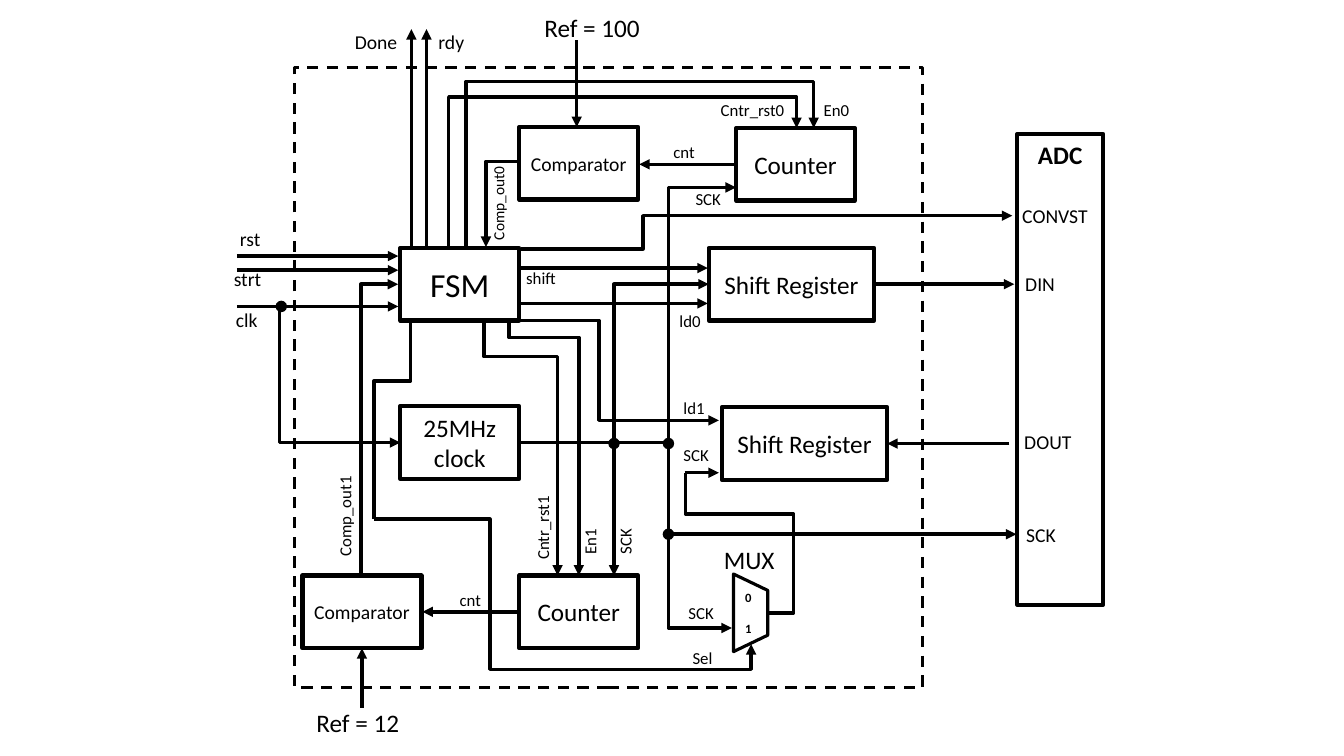
from lxml import etree
from pptx import Presentation
from pptx import util as u
from pptx.dml.color import RGBColor
from pptx.enum import dml, shapes, text
from pptx.oxml import ns

INK = "000000"
FONT = "Calibri"
BLOCK = (1.18, 0.72)
WIDE_BLOCK = (1.64, 0.72)
LABEL_WIDTH = 1.18
DOT = 0.1
RECT = shapes.MSO_SHAPE.RECTANGLE


def length(inches):
    """Turn a distance on the inch grid into a Cm length."""
    return u.Cm(inches * 2.54)


def colour(value):
    """Turn a hex string into a colour."""
    return RGBColor.from_string(value)


def apply(target, values):
    """Set each named attribute on the target."""
    for name, value in values.items():
        setattr(target, name, value)


def write(frame, lines, size, bold=False, gap=0, **layout):
    """Fill a text frame with one paragraph per line."""
    apply(frame, {"word_wrap": True, **layout})
    for index, line in enumerate(lines):
        para = frame.add_paragraph() if index else frame.paragraphs[0]
        if layout.get("vertical_anchor") is not None:
            para.alignment = text.PP_ALIGN.CENTER
        para.space_before = u.Pt(gap if index else 0)
        span = para.add_run()
        span.text = line
        apply(span.font, {"name": FONT, "size": u.Pt(size), "bold": bold})
        span.font.color.rgb = colour(INK)


def outline(page, kind, box, weight, fill=None):
    """Add an outlined preset shape, filled only if a colour is given."""
    shape = page.shapes.add_shape(kind, *map(length, box))
    shape.shadow.inherit = False
    shape.line.color.rgb = colour(INK)
    shape.line.width = u.Pt(weight)
    if fill:
        shape.fill.solid()
        shape.fill.fore_color.rgb = colour(fill)
    else:
        shape.fill.background()
    return shape


def block(page, box, words, x, y, extent=BLOCK, size=18):
    """Add a named circuit block."""
    shape = outline(page, RECT, (box[0] + x, box[1] + y, *extent), 3)
    write(shape.text_frame, [words], size, margin_left=0, margin_right=0,
          vertical_anchor=text.MSO_ANCHOR.MIDDLE)


def label(page, box, words, x, y, size=12, upright=False):
    """Add a signal name at its top left, or at its bottom left if upright."""
    height = size * 1.22 / 72 + 0.1
    left, top = box[0] + x, box[1] + y
    if upright:
        left += (height - LABEL_WIDTH) / 2
        top -= (height + LABEL_WIDTH) / 2
    shape = page.shapes.add_textbox(*map(length, (left, top, LABEL_WIDTH, height)))
    shape.rotation = 270 if upright else 0
    write(shape.text_frame, [words], size, auto_size=text.MSO_AUTO_SIZE.SHAPE_TO_FIT_TEXT)


def dot(page, box, x, y):
    """Add a junction dot centred on a point."""
    corner = (box[0] + x - DOT / 2, box[1] + y - DOT / 2)
    outline(page, shapes.MSO_SHAPE.OVAL, (*corner, DOT, DOT), 1, INK)


def bend(link, points):
    """Shape an elbow connector so that it runs through right-angled points."""
    (x1, y1), (x2, y2) = points[0], points[-1]
    dx, dy = x2 - x1, y2 - y1
    upright = points[0][0] == points[1][0]
    along, across = (abs(dy), abs(dx)) if upright else (abs(dx), abs(dy))
    flip_h, flip_v, turn = dx < 0, dy < 0, 0
    if upright:
        flip_h, flip_v, turn = dy < 0, dx > 0, 90
        if flip_v and not flip_h:
            flip_h, flip_v, turn = True, False, 270
    apply(link, {"left": length((x1 + x2 - along) / 2),
                 "top": length((y1 + y2 - across) / 2),
                 "width": length(along), "height": length(across)})
    frame = link._element.spPr.find(ns.qn("a:xfrm"))
    for name, value in {"rot": turn * 60000, "flipH": int(flip_h),
                        "flipV": int(flip_v)}.items():
        frame.set(name, str(value))
    geometry = link._element.spPr.find(ns.qn("a:prstGeom"))
    geometry.set("prst", f"bentConnector{len(points) - 1}")
    guides = geometry.find(ns.qn("a:avLst"))
    for index, (x, y) in enumerate(points[1:-2], 1):
        vertical = upright == (index % 2 == 1)
        ratio = (y - y1) / dy if vertical else (x - x1) / dx
        etree.SubElement(guides, ns.qn("a:gd"), name=f"adj{index}",
                         fmla=f"val {round(ratio * 100000)}")


def wire(page, box, *points, arrow=True):
    """Add a straight or bent wire, by default with an arrowhead at its end."""
    points = [(box[0] + x, box[1] + y) for x, y in points]
    kind = shapes.MSO_CONNECTOR.STRAIGHT if len(points) == 2 else shapes.MSO_CONNECTOR.ELBOW
    link = page.shapes.add_connector(kind, *map(length, points[0] + points[-1]))
    link.line.color.rgb = colour(INK)
    link.line.width = u.Pt(2.5)
    if len(points) > 2:
        bend(link, points)
    if arrow:
        etree.SubElement(link.line._get_or_add_ln(), ns.qn("a:tailEnd"), type="triangle")
    etree.SubElement(link._element.spPr, ns.qn("a:effectLst"))


def draw(page, box, blocks=(), wires=(), labels=(), dots=()):
    """Place the parts of one region relative to its box."""
    for add, rows in ((block, blocks), (wire, wires), (label, labels), (dot, dots)):
        for row in rows:
            add(page, box, *row)


def chip_frame(page, box):
    """Draw the dashed border of the chip."""
    outline(page, RECT, box, 2).line.dash_style = dml.MSO_LINE.DASH


def sample_timer(page, box):
    """Draw the upper counter and comparator with their signals."""
    draw(page, box,
         blocks=[("Counter", 5.3, 1.27), ("Comparator", 3.15, 1.26, BLOCK, 14)],
         wires=[((5.3, 1.63), (4.34, 1.63)), ((3.72, 0.4), (3.72, 1.26)),
                ((3.15, 1.6), (2.82, 1.6), (2.82, 2.45)),
                ((4.63, 4.65), (4.63, 1.86), (5.3, 1.86))]
         + [((x, 2.46), (x, 0.29)) for x in (2.08, 2.23)]
         + [((x, 2.46), (x, y), (x + 3.45, y), (x + 3.45, 1.27))
            for x, y in ((2.45, 0.96), (2.62, 0.81))],
         labels=[("Ref = 100", 3.3, 0.07, 18), ("Done", 1.42, 0.25, 14),
                 ("rdy", 2.25, 0.25, 14), ("cnt", 4.58, 1.36),
                 ("Cntr_rst0", 5.05, 0.94), ("En0", 6.07, 0.94),
                 ("SCK", 4.8, 1.82), ("Comp_out0", 2.8, 2.48, 11, True)])


def control(page, box):
    """Draw the state machine, clock and shift registers with their signals."""
    draw(page, box,
         blocks=[("FSM", 1.97, 0.46, BLOCK, 24), ("25MHz clock", 1.97, 2.03),
                 ("Shift Register", 5.03, 0.46, WIDE_BLOCK),
                 ("Shift Register", 5.16, 2.04, WIDE_BLOCK)],
         wires=[((0.35, y), (1.95, y)) for y in (0.54, 0.68, 1.04)]
         + [((3.15, y), (5.02, y)) for y in (0.66, 1.01)]
         + [((6.69, 0.82), (8.06, 0.82)), ((8.01, 2.4), (6.8, 2.4)),
            ((4.09, 2.39), (4.09, 0.82), (5.03, 0.82)),
            ((2.97, 1.18), (3.94, 1.18), (3.94, 2.17), (5.13, 2.17)),
            ((3.17, 0.47), (4.38, 0.47), (4.38, 0.14), (8.04, 0.14)),
            ((0.58, 1.04), (0.77, 1.04), (0.77, 2.39), (1.97, 2.39)),
            ((4.63, 2.39), (4.63, 3.3), (8.08, 3.3))],
         labels=[("rst", 0.28, 0.2, 14), ("strt", 0.22, 0.6, 14),
                 ("clk", 0.24, 1.01, 14), ("shift", 3.12, 0.61),
                 ("ld0", 4.64, 1.03), ("ld1", 4.68, 1.9), ("SCK", 4.68, 2.36)],
         dots=[(0.79, 1.04), (4.09, 2.4), (4.63, 2.4), (4.63, 3.3)])
    wire(page, box, (3.15, 2.39), (4.66, 2.39), arrow=False)


def bit_timer(page, box):
    """Draw the lower counter and comparator with their signals."""
    draw(page, box,
         blocks=[("Counter", 3.15, 0.71), ("Comparator", 1, 0.71, BLOCK, 14)],
         wires=[((3.15, 1.07), (2.19, 1.07)), ((1.59, 2.02), (1.59, 1.43)),
                ((1.58, 0.71), (1.58, -2.18), (1.95, -2.18)),
                ((3.05, -1.82), (3.05, -1.65), (3.74, -1.65), (3.74, 0.71)),
                ((2.8, -1.82), (2.8, -1.46), (3.53, -1.46), (3.53, 0.71)),
                ((4.09, -0.55), (4.09, 0.71))],
         labels=[("Ref = 12", 1.04, 1.97, 18), ("cnt", 2.46, 0.8),
                 ("Cntr_rst1", 3.23, 0.65, 12, True), ("En1", 3.7, 0.6, 12, True),
                 ("SCK", 4.05, 0.6, 12, True), ("Comp_out1", 1.27, 0.62, 12, True)])


def clock_mux(page, box):
    """Draw the multiplexer, its select line, inputs and output."""
    mux = outline(page, shapes.MSO_SHAPE.TRAPEZOID,
                  (box[0] + 5.06, box[1] + 0.91, 0.77, 0.34), 2.25)
    mux.rotation = 90
    mux.adjustments[0] = 0.48
    margins = {f"margin_{side}": 0 for side in ("left", "right", "top", "bottom")}
    write(mux.text_frame, ["0", "1"], 9, True, 11,
          vertical_anchor=text.MSO_ANCHOR.MIDDLE, **margins)
    mux.text_frame._txBody.bodyPr.set("vert", "vert270")
    wire(page, box, (5.62, 1.08), (5.87, 1.08), (5.87, 0.1), (4.8, 0.1), (4.8, -0.31),
         arrow=False)
    wire(page, box, (2.07, -1.82), (2.07, -1.22), (1.71, -1.22), (1.71, 0.15), arrow=False)
    draw(page, box,
         wires=[((4.63, 0.31), (4.63, 1.23), (5.26, 1.23)),
                ((4.79, -0.31), (5.13, -0.31)),
                ((1.71, 0.15), (2.86, 0.15), (2.86, 1.64), (5.45, 1.64), (5.45, 1.39))],
         labels=[("SCK", 4.73, 0.93), ("Sel", 4.77, 1.38), ("MUX", 5.08, 0.35, 18)])


def converter(page, box):
    """Draw the converter with its pin names."""
    shape = outline(page, RECT, box, 3)
    write(shape.text_frame, ["ADC"], 18, True, vertical_anchor=text.MSO_ANCHOR.TOP)
    draw(page, box, labels=[("CONVST", -0.05, 0.64, 14), ("DIN", -0.02, 1.32, 14),
                            ("DOUT", -0.03, 2.89, 14), ("SCK", -0.01, 3.81, 14)])


deck = Presentation()
apply(deck, {"slide_width": length(13.33), "slide_height": length(7.5)})
page = deck.slides.add_slide(deck.slide_layouts[6])
control(page, (2, 2))
sample_timer(page, (2, 0))
bit_timer(page, (2, 5))
clock_mux(page, (2, 5))
chip_frame(page, (2.92, 0.67, 6.23, 6.15))
converter(page, (10.09, 1.33, 0.85, 4.67))
deck.save("out.pptx")
